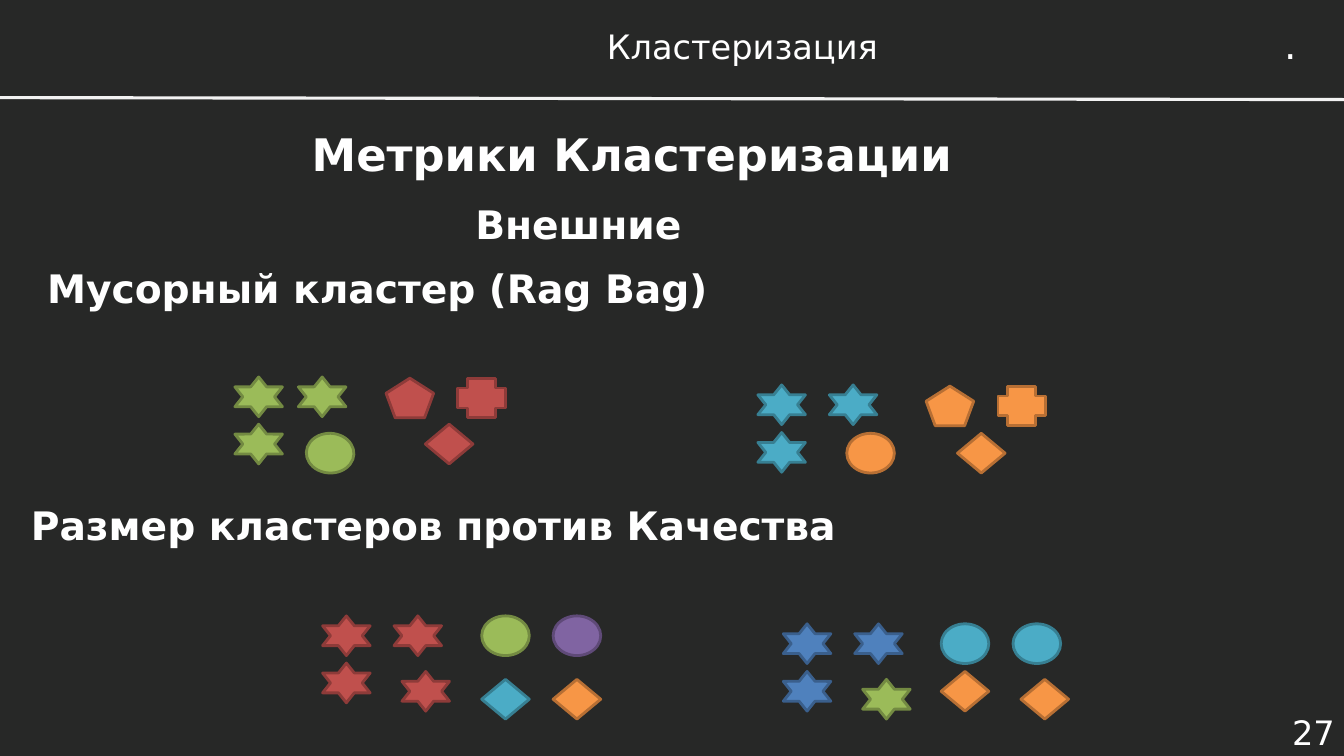
"""Builds the slide on external clustering metrics."""
from lxml import etree
from pptx import Presentation
from pptx.dml.color import RGBColor
from pptx.enum.shapes import MSO_CONNECTOR, MSO_SHAPE
from pptx.enum.text import MSO_ANCHOR, MSO_AUTO_SIZE, PP_ALIGN
from pptx.oxml.ns import qn
from pptx.util import Cm, Pt

STAR = MSO_SHAPE.STAR_6_POINT
PENTAGON = MSO_SHAPE.REGULAR_PENTAGON
OVAL = MSO_SHAPE.OVAL
DIAMOND = MSO_SHAPE.FLOWCHART_DECISION
CROSS = MSO_SHAPE.CROSS
STRAIGHT = MSO_CONNECTOR.STRAIGHT
LEFT, CENTER, RIGHT = PP_ALIGN.LEFT, PP_ALIGN.CENTER, PP_ALIGN.RIGHT
TOP, MIDDLE = MSO_ANCHOR.TOP, MSO_ANCHOR.MIDDLE
GROW, FIXED = MSO_AUTO_SIZE.SHAPE_TO_FIT_TEXT, MSO_AUTO_SIZE.NONE

FONT = "DejaVu Sans"
COLORS = {
    "background": "272827", "text": "FFFFFF", "rule": "F2F2F2",
    "green": "9BBB59", "green edge": "738A42",
    "red": "C0504D", "red edge": "8E3B39",
    "teal": "4BACC6", "teal edge": "377F92",
    "orange": "F79646", "orange edge": "B76F34",
    "purple": "8064A2", "purple edge": "5F4A78",
    "blue": "4F81BD", "blue edge": "3A5F8C",
}
ITEM_W, ITEM_H = 1.2, 1.0

RAG_BAG = [
    (STAR, "green", [(5.92, 9.5), (5.92, 10.69), (7.52, 9.5)]),
    (PENTAGON, "red", [(9.73, 9.53)]),
    (DIAMOND, "red", [(10.72, 10.69)]),
    (CROSS, "red", [(11.53, 9.53)]),
    (STAR, "teal", [(19.1, 9.7), (19.1, 10.9), (20.9, 9.7)]),
    (OVAL, "orange", [(21.34, 10.92)]),
    (PENTAGON, "orange", [(23.34, 9.73)]),
    (DIAMOND, "orange", [(24.13, 10.92)]),
    (CROSS, "orange", [(25.15, 9.73)]),
]
SIZE_VS_QUALITY = [
    (STAR, "red", [(8.13, 15.52), (8.13, 16.71), (10.13, 16.92), (9.93, 15.52)]),
    (OVAL, "green", [(12.14, 15.52)]),
    (OVAL, "purple", [(13.94, 15.52)]),
    (DIAMOND, "teal", [(12.14, 17.12)]),
    (DIAMOND, "orange", [(13.94, 17.12)]),
    (STAR, "blue", [(19.74, 15.72), (19.74, 16.92), (21.54, 15.72)]),
    (STAR, "green", [(21.74, 17.12)]),
    (OVAL, "teal", [(23.72, 15.72), (25.53, 15.72)]),
    (DIAMOND, "orange", [(23.72, 16.92), (25.73, 17.12)]),
]


def rgb(name):
    return RGBColor.from_string(COLORS[name])


class SlideBuilder:
    def __init__(self, prs):
        self.s = prs.slides.add_slide(prs.slide_layouts[6])
        fill = self.s.background.fill
        fill.solid()
        fill.fore_color.rgb = rgb("background")

    def text(self, text, x, y, w, h, size=28, bold=False, align=LEFT,
             anchor=TOP, fit=GROW, wrap=True):
        tf = self.s.shapes.add_textbox(Cm(x), Cm(y), Cm(w), Cm(h)).text_frame
        tf.word_wrap = wrap
        tf.auto_size = fit
        tf.vertical_anchor = anchor
        p = tf.paragraphs[0]
        p.alignment = align
        r = p.add_run()
        r.text = text
        r.font.name = FONT
        r.font.size = Pt(size)
        r.font.bold = bold
        r.font.color.rgb = rgb("text")

    def rule(self, x1, y1, x2, y2):
        line = self.s.shapes.add_connector(STRAIGHT, Cm(x1), Cm(y1), Cm(x2), Cm(y2))
        line.line.color.rgb = rgb("rule")
        line.line.width = Pt(2.25)
        etree.SubElement(line._element.spPr, qn("a:effectLst"))

    def item(self, kind, color, x, y, rotation=0):
        sp = self.s.shapes.add_shape(kind, Cm(x), Cm(y), Cm(ITEM_W), Cm(ITEM_H))
        sp.shadow.inherit = False
        sp.rotation = rotation
        sp.fill.solid()
        sp.fill.fore_color.rgb = rgb(color)
        sp.line.color.rgb = rgb(color + " edge")
        sp.line.width = Pt(2)

    def clusters(self, groups):
        for kind, color, places in groups:
            for x, y in places:
                self.item(kind, color, x, y)


def main():
    prs = Presentation()
    prs.slide_width, prs.slide_height = Cm(33.87), Cm(19.05)
    slide = SlideBuilder(prs)

    slide.text("Кластеризация", 8.74, 0.48, 19.94, 1.35, size=24,
               align=CENTER, anchor=MIDDLE, fit=FIXED)
    slide.text(".", 32.11, 0.38, 0.86, 1.45, wrap=False)
    slide.rule(0, 2.46, 33.87, 2.51)
    slide.text("Метрики Кластеризации", 4.93, 2.72, 22, 2.31, size=32,
               bold=True, align=CENTER, anchor=MIDDLE, fit=FIXED)
    slide.text("Внешние", 11.73, 4.93, 8.26, 1.45, bold=True)

    slide.text("Мусорный кластер (Rag Bag)", 0.94, 6.53, 33.4, 1.45, bold=True)
    slide.clusters(RAG_BAG)
    slide.item(OVAL, "green", 7.72, 10.92, rotation=2.5)

    slide.text("Размер кластеров против Качества", 0.53, 12.52, 32.79, 1.45, bold=True)
    slide.clusters(SIZE_VS_QUALITY)

    slide.text("27", 31.22, 17.91, 2.67, 1.07, size=24,
               align=RIGHT, anchor=MIDDLE, fit=FIXED)
    prs.save("out.pptx")


if __name__ == "__main__":
    main()
